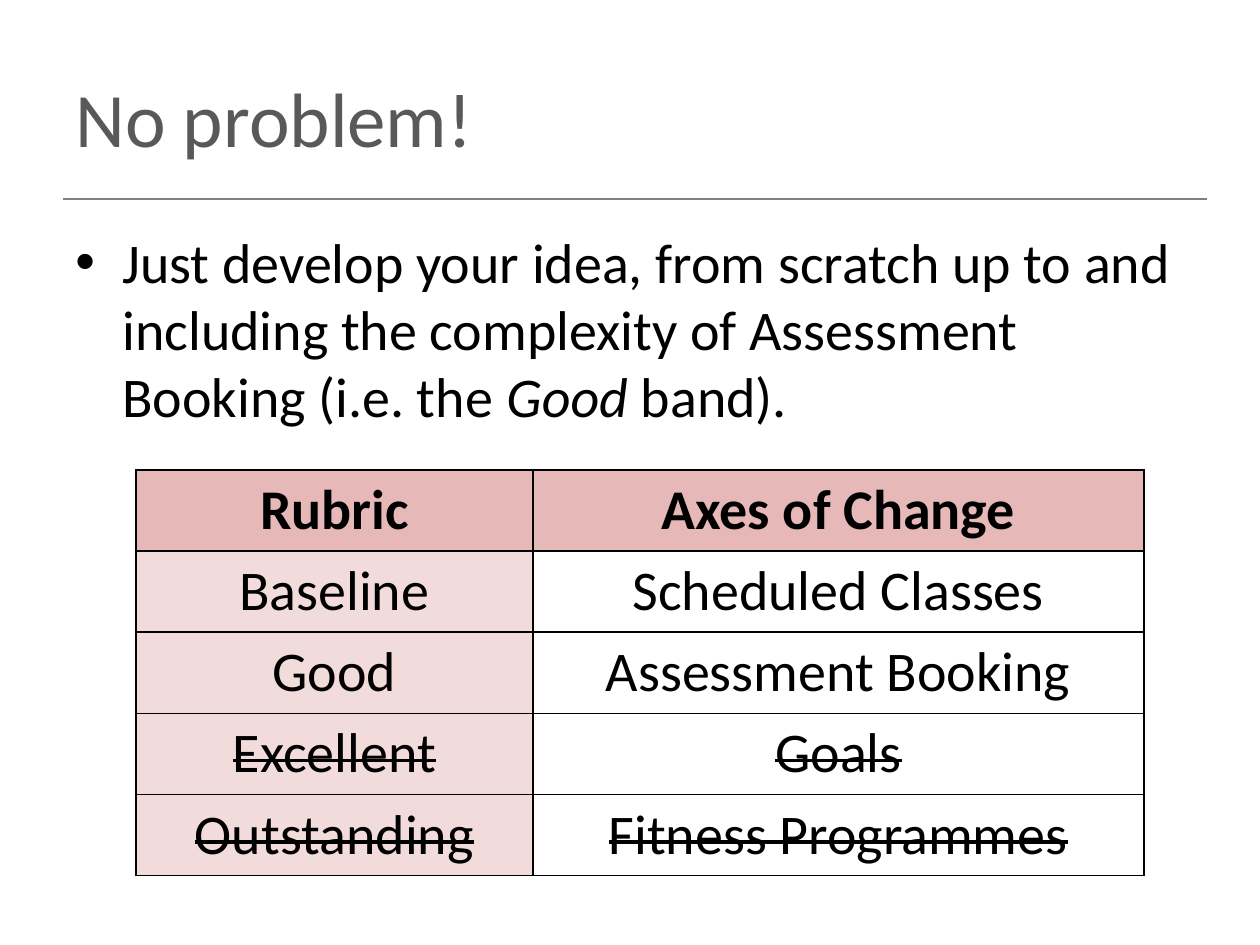
from lxml import etree
from pptx import Presentation
from pptx.dml.color import RGBColor
from pptx.enum.shapes import MSO_CONNECTOR
from pptx.enum.text import MSO_ANCHOR, PP_ALIGN
from pptx.oxml.ns import qn
from pptx.util import Pt

EMU_PER_PIXEL = 914400 // 126
STRAIGHT = MSO_CONNECTOR.STRAIGHT
MIDDLE = MSO_ANCHOR.MIDDLE
TOP = MSO_ANCHOR.TOP
CENTER = PP_ALIGN.CENTER
LEFT = PP_ALIGN.LEFT

COLORS = {
    "title": "595959",
    "text": "000000",
    "rule": "808080",
    "border": "000000",
    "header": "E6B9B8",
    "rubric": "F2DCDB",
}
TITLE_FORMAT = {"name": "Calibri", "size": Pt(44)}
BODY_FORMAT = {"name": "Calibri", "size": Pt(32)}
BORDER_TAGS = ("a:lnL", "a:lnR", "a:lnT", "a:lnB")
COLUMN_WIDTHS = (397, 611)
ROW_HEIGHT = 81
HEADINGS = ("Rubric", "Axes of Change")
BANDS = (
    ("Baseline", "Scheduled Classes", False),
    ("Good", "Assessment Booking", False),
    ("Excellent", "Goals", True),
    ("Outstanding", "Fitness Programmes", True),
)
IDEA = (
    ("Just develop your idea, from scratch up to and including "
     "the complexity of Assessment Booking (i.e. the ", False),
    ("Good", True),
    (" band).", False),
)


def px(*lengths):
    return [length * EMU_PER_PIXEL for length in lengths]


def rgb(color):
    return RGBColor.from_string(COLORS[color])


def add_run(paragraph, text, color, formats):
    run = paragraph.add_run()
    run.text = text
    run.font.color.rgb = rgb(color)
    for name, value in formats.items():
        setattr(run.font, name, value)
    return run


def add_text(slide, box, anchor):
    shape = slide.shapes.add_textbox(*px(*box))
    frame = shape.text_frame
    frame.word_wrap = True
    frame.vertical_anchor = anchor
    paragraph = frame.paragraphs[0]
    paragraph.alignment = LEFT
    return paragraph


def add_bullet(paragraph, indent):
    properties = paragraph._p.get_or_add_pPr()
    properties.set("marL", str(indent))
    properties.set("indent", str(-indent))
    etree.SubElement(properties, qn("a:buFont"), typeface="Arial")
    etree.SubElement(properties, qn("a:buChar"), char="•")


def add_rule(slide, left, right, top):
    rule = slide.shapes.add_connector(STRAIGHT, *px(left, top, right, top))
    rule.line.color.rgb = rgb("rule")
    rule.line.width = Pt(1)
    etree.SubElement(rule._element.spPr, qn("a:effectLst"))


def add_borders(cell):
    properties = cell._tc.get_or_add_tcPr()
    for position, tag in enumerate(BORDER_TAGS):
        line = etree.Element(qn(tag), w=str(Pt(1)))
        fill = etree.SubElement(line, qn("a:solidFill"))
        etree.SubElement(fill, qn("a:srgbClr"), val=COLORS["border"])
        properties.insert(position, line)


def fill_cell(cell, text, fill, bold, struck):
    if fill:
        cell.fill.solid()
        cell.fill.fore_color.rgb = rgb(fill)
    else:
        cell.fill.background()
    add_borders(cell)
    paragraph = cell.text_frame.paragraphs[0]
    paragraph.alignment = CENTER
    run = add_run(paragraph, text, "text", {**BODY_FORMAT, "bold": bold})
    if struck:
        run._r.get_or_add_rPr().set("strike", "sngStrike")


def add_rubric_table(slide, left, top):
    row_count = len(BANDS) + 1
    box = px(left, top, sum(COLUMN_WIDTHS), ROW_HEIGHT * row_count)
    table = slide.shapes.add_table(row_count, len(COLUMN_WIDTHS), *box).table
    table.horz_banding = False
    for column, width in zip(table.columns, px(*COLUMN_WIDTHS)):
        column.width = width
    for column, heading in enumerate(HEADINGS):
        fill_cell(table.cell(0, column), heading, "header", True, False)
    for row, (rubric, change, struck) in enumerate(BANDS, 1):
        fill_cell(table.cell(row, 0), rubric, "rubric", False, struck)
        fill_cell(table.cell(row, 1), change, None, False, struck)


def main():
    presentation = Presentation()
    presentation.slide_width, presentation.slide_height = px(1260, 945)
    slide = presentation.slides.add_slide(presentation.slide_layouts[6])

    add_rule(slide, 63, 1207, 199)
    add_rubric_table(slide, 136, 470)

    title = add_text(slide, (63, 38, 1134, 158), MIDDLE)
    add_run(title, "No problem!", "title", TITLE_FORMAT)

    idea = add_text(slide, (63, 221, 1134, 221), TOP)
    idea.space_before = Pt(6.4)
    add_bullet(idea, px(47)[0])
    for text, italic in IDEA:
        add_run(idea, text, "text", {**BODY_FORMAT, "italic": italic})

    presentation.save("out.pptx")


main()
